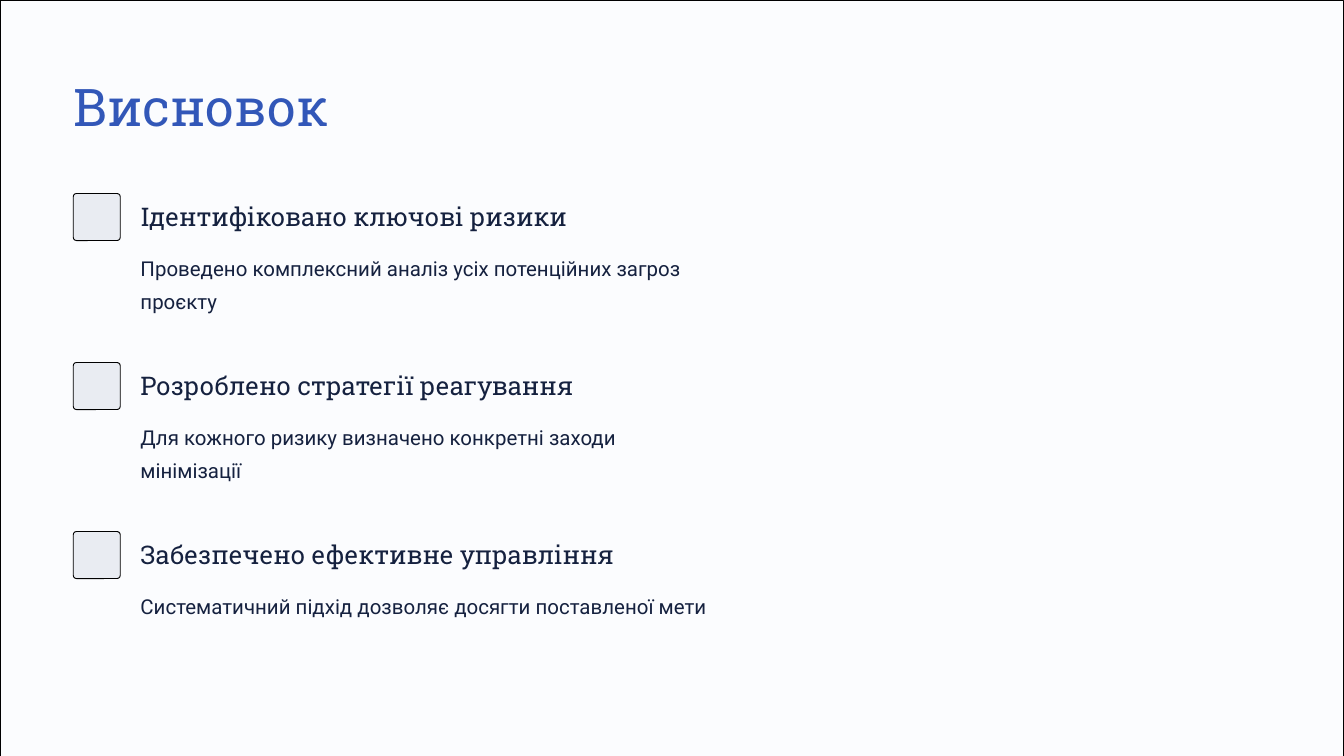
from pptx import Presentation
from pptx.dml.color import RGBColor
from pptx.enum.shapes import MSO_SHAPE
from pptx.enum.text import MSO_ANCHOR, MSO_AUTO_SIZE, PP_ALIGN
from pptx.util import Inches, Pt

RECTANGLE = MSO_SHAPE.RECTANGLE
ROUNDED = MSO_SHAPE.ROUNDED_RECTANGLE
TOP = MSO_ANCHOR.TOP
LEFT = PP_ALIGN.LEFT
NO_AUTOFIT = MSO_AUTO_SIZE.NONE

PAGE = RGBColor(0xFB, 0xFC, 0xFE)
MARKER = RGBColor(0xE9, 0xEC, 0xF2)
OUTLINE = RGBColor(0x00, 0x00, 0x00)
BLUE = RGBColor(0x32, 0x57, 0xB8)
NAVY = RGBColor(0x15, 0x21, 0x3F)

HEADING_FONT = "Roboto Slab"
BODY_FONT = "Roboto"

SLIDE_WIDTH, SLIDE_HEIGHT = 20, 11.25
MARGIN = 1.09
TEXT_LEFT = 2.09
FIRST_TOP = 2.88
ITEM_PITCH = 2.515
MARKER_SIZE = 0.7

CONCLUSIONS = [
    ("Ідентифіковано ключові ризики",
     "Проведено комплексний аналіз усіх потенційних загроз проєкту"),
    ("Розроблено стратегії реагування",
     "Для кожного ризику визначено конкретні заходи мінімізації"),
    ("Забезпечено ефективне управління",
     "Систематичний підхід дозволяє досягти поставленої мети"),
]


def add_panel(slide, kind, left, top, width, height, color):
    """Filled shape with a thin black outline."""
    panel = slide.shapes.add_shape(
        kind, Inches(left), Inches(top), Inches(width), Inches(height))
    panel.shadow.inherit = False
    panel.fill.solid()
    panel.fill.fore_color.rgb = color
    panel.line.color.rgb = OUTLINE
    panel.line.width = Pt(1)
    return panel


def write_text(frame, text, font_name, size, spacing, color):
    """One left-aligned paragraph in a frame without margins."""
    frame.text = text
    frame.word_wrap = True
    frame.auto_size = NO_AUTOFIT
    frame.vertical_anchor = TOP
    frame.margin_left = frame.margin_right = 0
    frame.margin_top = frame.margin_bottom = 0
    paragraph = frame.paragraphs[0]
    paragraph.alignment = LEFT
    paragraph.line_spacing = Pt(spacing)
    paragraph.space_before = Pt(0)
    font = paragraph.runs[0].font
    font.name = font_name
    font.size = Pt(size)
    font.color.rgb = color


def add_label(slide, top, width, height, text, font_name, size, spacing):
    label = slide.shapes.add_textbox(
        Inches(TEXT_LEFT), Inches(top), Inches(width), Inches(height))
    write_text(label.text_frame, text, font_name, size, spacing, NAVY)


def add_page(slide):
    """Page panel, placed behind everything else."""
    page = add_panel(slide, RECTANGLE, 0, 0, SLIDE_WIDTH, SLIDE_HEIGHT, PAGE)
    shape_tree = page.element.getparent()
    shape_tree.insert(2, page.element)


def add_title(slide, text):
    title = slide.shapes.title
    title.left, title.top = Inches(MARGIN), Inches(1.08)
    title.width, title.height = Inches(7.75), Inches(0.99)
    write_text(title.text_frame, text, HEADING_FONT, 55.6, 69.4, BLUE)


def add_conclusion(slide, top, heading, detail):
    """Square marker with a heading and a detail line beside it."""
    marker = add_panel(slide, ROUNDED, MARGIN, top,
                       MARKER_SIZE, MARKER_SIZE, MARKER)
    marker.adjustments[0] = 0.07
    add_label(slide, top + 0.09, 8.46, 0.51, heading, HEADING_FONT, 27.5, 34.4)
    add_label(slide, top + 0.8, 8.46, 1.1, detail, BODY_FONT, 21.9, 35.6)


def main():
    presentation = Presentation()
    presentation.slide_width = Inches(SLIDE_WIDTH)
    presentation.slide_height = Inches(SLIDE_HEIGHT)
    title_only = presentation.slide_layouts[5]
    slide = presentation.slides.add_slide(title_only)

    add_page(slide)
    add_title(slide, "Висновок")
    for index, (heading, detail) in enumerate(CONCLUSIONS):
        add_conclusion(slide, FIRST_TOP + index * ITEM_PITCH, heading, detail)

    presentation.save("out.pptx")


if __name__ == "__main__":
    main()
